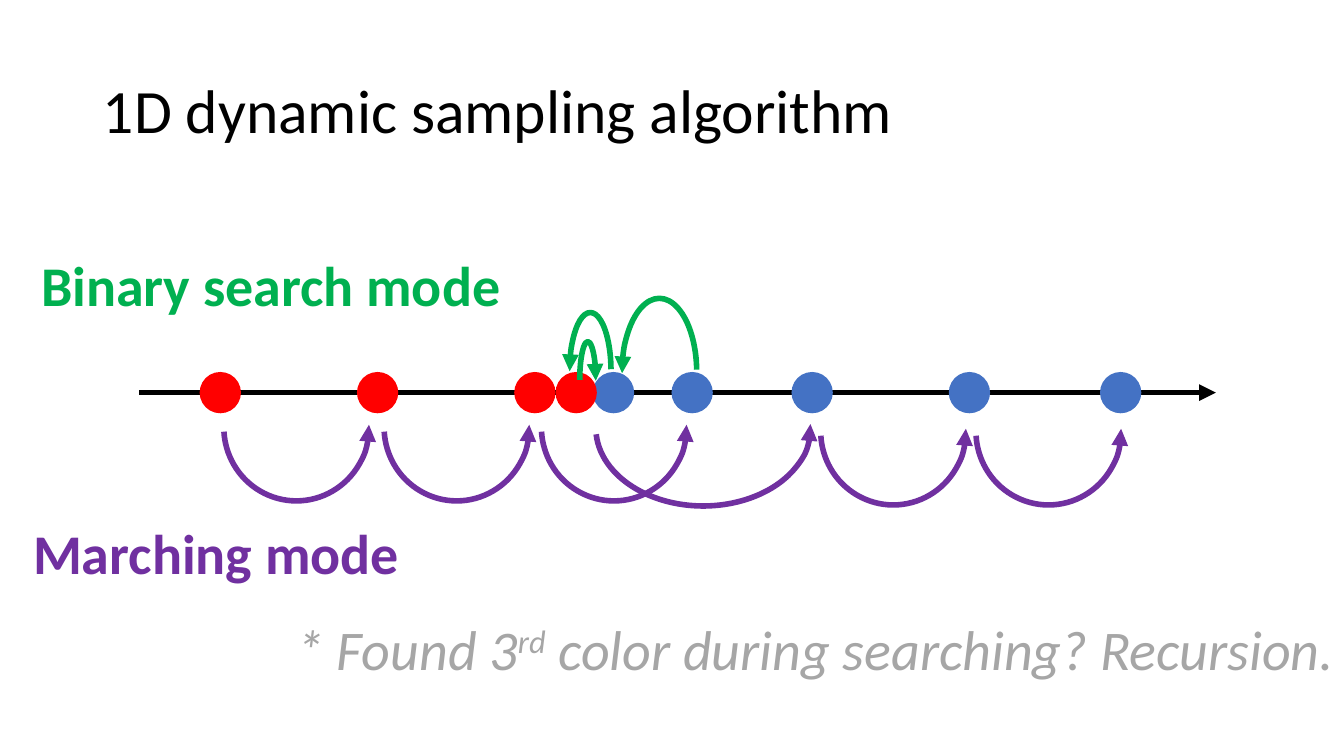
from lxml.etree import SubElement
from pptx import Presentation
from pptx.dml.color import RGBColor
from pptx.enum.shapes import MSO_CONNECTOR, MSO_SHAPE
from pptx.enum.text import MSO_ANCHOR, MSO_AUTO_SIZE, PP_ALIGN
from pptx.oxml.ns import qn
from pptx.util import Inches, Pt

FONT = "Calibri"
BLACK, GREY = "000000", "A6A6A6"
RED, BLUE = "FF0000", "4472C4"
GREEN, PURPLE = "00B050", "7030A0"
DOT_SIZE = 0.41
MARCH_SIZE = (1.44, 1.46)


def color(hex_string):
    return RGBColor.from_string(hex_string)


def place(shape, box):
    shape.left, shape.top, shape.width, shape.height = map(Inches, box)


def style_runs(paragraph, size, hex_string, bold=False, italic=False):
    for span in paragraph.runs:
        span.font.name = FONT
        span.font.size = Pt(size)
        span.font.bold = bold
        span.font.italic = italic
        span.font.color.rgb = color(hex_string)


def style_arrow(shape, hex_string):
    shape.line.color.rgb = color(hex_string)
    shape.line.width = Pt(4)
    line = shape.line._get_or_add_ln()
    SubElement(line, qn("a:tailEnd"), type="triangle")


def add_title(page, box):
    title = page.shapes.title
    place(title, box)
    frame = title.text_frame
    frame.text = "1D dynamic sampling algorithm"
    frame.auto_size = MSO_AUTO_SIZE.NONE
    frame.vertical_anchor = MSO_ANCHOR.MIDDLE
    para = frame.paragraphs[0]
    para.alignment = PP_ALIGN.LEFT
    para.line_spacing = 0.9
    style_runs(para, 44, BLACK)


def add_label(page, box, text, hex_string, **emphasis):
    label = page.shapes.add_textbox(*map(Inches, box))
    frame = label.text_frame
    frame.text = text
    frame.word_wrap = False
    frame.auto_size = MSO_AUTO_SIZE.SHAPE_TO_FIT_TEXT
    para = frame.paragraphs[0]
    style_runs(para, 40, hex_string, **emphasis)
    return para


def add_footnote(page, box):
    para = add_label(page, box, "* Found 3", GREY)
    para.alignment = PP_ALIGN.RIGHT
    ordinal = para.add_run()
    ordinal.text = "rd"
    para.add_run().text = " color during searching? Recursion."
    style_runs(para, 40, GREY, italic=True)
    ordinal.font._element.set("baseline", "30000")


def add_axis(page, box):
    """Sample line with its dots, centred on the height of the box."""
    left, top, width, height = box
    middle = top + height / 2
    axis = page.shapes.add_connector(
        MSO_CONNECTOR.STRAIGHT,
        Inches(left), Inches(middle), Inches(left + width), Inches(middle))
    style_arrow(axis, BLACK)
    SubElement(axis._element.spPr, qn("a:effectLst"))

    # Offsets of the dots along the line, from back to front
    dots = [(0.6, RED), (2.16, RED), (3.72, RED), (4.5, BLUE), (5.28, BLUE),
            (4.13, RED), (6.47, BLUE), (8.03, BLUE), (9.53, BLUE)]
    for offset, hex_string in dots:
        dot = page.shapes.add_shape(
            MSO_SHAPE.OVAL, Inches(left + offset), Inches(middle - DOT_SIZE / 2),
            Inches(DOT_SIZE), Inches(DOT_SIZE))
        dot.shadow.inherit = False
        dot.fill.solid()
        dot.fill.fore_color.rgb = color(hex_string)
        dot.line.fill.background()


def add_jump(page, box, hex_string, flips, rotation=0):
    """Half-turn arrow; flips names the mirrored axes."""
    jump = page.shapes.add_shape(MSO_SHAPE.ARC, *map(Inches, box))
    jump.shadow.inherit = False
    jump.fill.background()
    jump.adjustments[0] = 110.055
    jump.adjustments[1] = 1.216
    jump.rotation = rotation
    for axis in flips:
        jump._element.spPr.xfrm.set("flip" + axis, "1")
    style_arrow(jump, hex_string)


def add_marching(page, box):
    """Purple jumps below the line, then their label."""
    left, top = box[:2]
    jumps = [(1.99, 0, MARCH_SIZE), (3.58, 0, MARCH_SIZE), (5.14, 0, MARCH_SIZE),
             (5.68, -0.04, (2.13, 1.55)),
             (7.91, 0.04, MARCH_SIZE), (9.45, 0.04, MARCH_SIZE)]
    for across, down, size in jumps:
        add_jump(page, (left + across, top + down, *size), PURPLE, "V")
    add_label(page, (left, top + 1.58, 3.87, 0.77), "Marching mode", PURPLE, bold=True)


def add_binary_search(page, box):
    """Green jumps above the line, narrowing in, then their label."""
    left, top = box[:2]
    jumps = [(5.86, 0.52, 0.74, 1.46, "V"),
             (5.34, 0.66, 0.41, 1.15, "V"),
             (5.44, 0.95, 0.16, 0.77, "HV")]
    for across, down, width, height, flips in jumps:
        add_jump(page, (left + across, top + down, width, height), GREEN, flips, 180)
    add_label(page, (left, top, 4.81, 0.77), "Binary search mode", GREEN, bold=True)


def main():
    deck = Presentation()
    deck.slide_width, deck.slide_height = Inches(13.33), Inches(7.5)
    page = deck.slides.add_slide(deck.slide_layouts[5])
    add_title(page, (0.92, 0.4, 11.5, 1.45))
    add_axis(page, (1.38, 3.69, 10.68, DOT_SIZE))
    add_binary_search(page, (0.31, 2.44, 6.6, 1.98))
    add_marching(page, (0.23, 3.51, 10.89, 2.35))
    add_footnote(page, (2.68, 6.05, 10.65, 0.77))
    deck.save("out.pptx")


if __name__ == "__main__":
    main()
